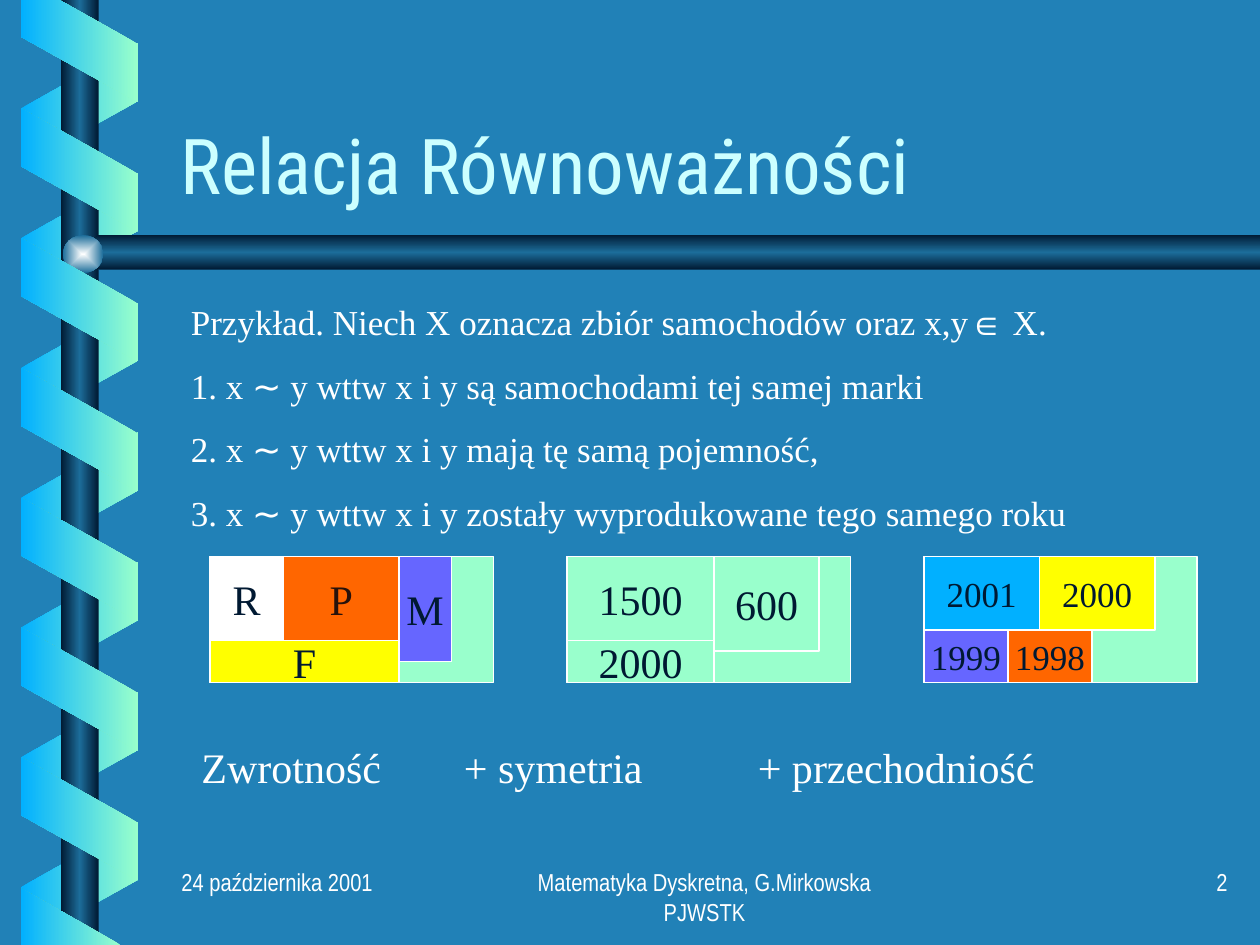
from itertools import groupby

from pptx import Presentation, oxml, util as u
from pptx.dml.color import RGBColor
from pptx.enum import shapes, text
from pptx.oxml import ns

CELL = u.Inches(1) / 12
COLUMNS, ROWS = 120, 90

BLUE = RGBColor(0x21, 0x81, 0xB7)
SKY = RGBColor(0x01, 0xB0, 0xFF)
MINT = RGBColor(0x99, 0xFF, 0xCC)
NAVY = RGBColor(0x00, 0x19, 0x32)
STEEL = RGBColor(0x1C, 0x6D, 0x9A)
PEARL = RGBColor(0xFE, 0xFF, 0xFF)
ICE = RGBColor(0xCC, 0xFF, 0xFF)
WHITE = RGBColor(0xFF, 0xFF, 0xFF)
ORANGE = RGBColor(0xFF, 0x66, 0x00)
VIOLET = RGBColor(0x66, 0x66, 0xFF)
YELLOW = RGBColor(0xFF, 0xFF, 0x00)
BROWN = RGBColor(0x27, 0x12, 0x0B)

SERIF, SYMBOL_FONT = "Times New Roman", "Arial"
SYMBOLS = "∈∼"
LEFT, CENTER, RIGHT = text.PP_ALIGN.LEFT, text.PP_ALIGN.CENTER, text.PP_ALIGN.RIGHT
TOP, MIDDLE, BOTTOM = text.MSO_ANCHOR.TOP, text.MSO_ANCHOR.MIDDLE, text.MSO_ANCHOR.BOTTOM

CAR_CLASSES = [
    (20, 27, 24, [("R", (0, 0, 7, 8), WHITE, NAVY), ("P", (7, 0, 11, 8), ORANGE, BROWN),
                  ("M", (18, 0, 5, 10), VIOLET, NAVY), ("F", (0, 8, 18, 4), YELLOW, NAVY)]),
    (54, 27, 24, [("1500", (0, 0, 14, 8), MINT, NAVY), ("600", (14, 0, 10, 9), MINT, NAVY),
                  ("2000", (0, 8, 14, 4), MINT, NAVY)]),
    (88, 26, 20, [("2001", (0, 0, 11, 7), SKY, NAVY), ("2000", (11, 0, 11, 7), YELLOW, NAVY),
                  ("1999", (0, 7, 8, 5), VIOLET, NAVY), ("1998", (8, 7, 8, 5), ORANGE, NAVY)]),
]


def grid(box):
    return [round(value * CELL) for value in box]


def write(shape, content, size, font=SERIF, color=WHITE, align=LEFT, anchor=TOP,
          wrap=True, space=0, spacing=None):
    frame = shape.text_frame
    frame.word_wrap = wrap
    frame.vertical_anchor = anchor
    for index, line in enumerate(content.split("\n")):
        paragraph = frame.add_paragraph() if index else frame.paragraphs[0]
        paragraph.alignment = align
        paragraph.space_before = u.Pt(space if index else 0)
        if spacing:
            paragraph.line_spacing = spacing
        for is_symbol, letters in groupby(line, lambda letter: letter in SYMBOLS):
            run = paragraph.add_run()
            run.text = "".join(letters)
            run.font.name = SYMBOL_FONT if is_symbol else font
            run.font.size = u.Pt(size)
            run.font.color.rgb = color


def add_text(slide, box, content, size, **style):
    write(slide.shapes.add_textbox(*grid(box)), content, size, **style)


def add_preset(slide, kind, box):
    shape = slide.shapes.add_shape(kind, *grid(box))
    shape.shadow.inherit = False
    shape.line.fill.background()
    return shape


def add_outline(slide, box, points):
    left, top, width, height = grid(box)
    corners = [(left + x * width, top + y * height) for x, y in points]
    builder = slide.shapes.build_freeform(*corners[0])
    builder.add_line_segments(corners[1:], close=True)
    shape = builder.convert_to_shape()
    shape.shadow.inherit = False
    shape.line.fill.background()
    return shape


def fill_gradient(shape, colors, angle=None):
    step = 100000 // (len(colors) - 1)
    stops = "".join(f'<a:gs pos="{index * step}"><a:srgbClr val="{color}"/></a:gs>'
                    for index, color in enumerate(colors))
    if angle is None:
        course = '<a:path path="rect"><a:fillToRect l="50000" t="50000" r="50000" b="50000"/></a:path>'
    else:
        course = f'<a:lin ang="{angle * 60000}" scaled="0"/>'
    gradient = oxml.parse_xml(f'<a:gradFill {ns.nsdecls("a")} rotWithShape="0">'
                              f'<a:gsLst>{stops}</a:gsLst>{course}</a:gradFill>')
    shape.fill.background()
    properties = shape.element.spPr
    properties.replace(properties.find(ns.qn("a:noFill")), gradient)


def draw_ribbon(slide, box, count, pitch, front):
    left, top, width, height = box
    for index in range(count):
        band = add_preset(slide, shapes.MSO_SHAPE.PARALLELOGRAM,
                          (left, top + index * pitch, width, height))
        band.adjustments[0] = 0.56
        band.rotation = 270 if front else 90
        if not front:
            band.element.spPr.find(ns.qn("a:xfrm")).set("flipH", "1")
        fill_gradient(band, (MINT, SKY) if front else (SKY, MINT), 180)


def draw_spiral_frame(slide, box):
    left, top, width, height = box
    band_left = left + 1.68
    draw_ribbon(slide, (band_left, top + 4.4, 11.76, 11.16), 7, 12.36, front=False)
    pole = add_preset(slide, shapes.MSO_SHAPE.RECTANGLE, (left + 5.8, top, 3.6, height))
    fill_gradient(pole, (NAVY, STEEL, NAVY), 180)
    bar = add_outline(slide, (left + 7.2, top + 22.36, width - 7.2, 3.32),
                      [(1, 0), (0.02, 0), (0, 0.5), (0.02, 1), (1, 1)])
    fill_gradient(bar, (NAVY, STEEL, NAVY), 90)
    ball = add_preset(slide, shapes.MSO_SHAPE.OVAL, (left + 6, top + 22.4, 3.84, 3.6))
    fill_gradient(ball, (PEARL, STEEL))
    draw_ribbon(slide, (band_left, top + 10.6, 11.76, 11.16), 6, 12.36, front=True)
    ends = [((left + 2, top, 11.1, 9.7), [(0, 0), (0, 0.36), (1, 1), (1, 0.43), (0.33, 0)]),
            ((left + 2, top + height - 5.4, 9.5, 5.4), [(1, 1), (0, 0), (0, 1)])]
    for end_box, points in ends:
        fill_gradient(add_outline(slide, end_box, points), (MINT, SKY), 180)


def draw_partition(slide, box, size, classes):
    left, top, width, height = box
    parts = [("", (0, 0, width, height), MINT, NAVY)] + classes
    for label, (column, row, columns, rows), fill, color in parts:
        part = add_preset(slide, shapes.MSO_SHAPE.RECTANGLE,
                          (left + column, top + row, columns, rows))
        part.fill.solid()
        part.fill.fore_color.rgb = fill
        part.line.color.rgb = WHITE
        part.line.width = u.Pt(0.75)
        if label:
            write(part, label, size, color=color, align=CENTER, anchor=MIDDLE, wrap=False)


def draw_properties(slide, box):
    left, top, width, height = box
    for column, columns, label in [(0, 21, "Zwrotność"), (25, 23, "+ symetria"),
                                   (53, 31, "+ przechodniość")]:
        add_text(slide, (left + column, top, columns, height), label, 24)


def draw_footer(slide, box):
    left, top, width, height = box
    parts = [(0, 25, "24 października 2001", LEFT),
             (32, 38, "Matematyka Dyskretna, G.Mirkowska PJWSTK", CENTER),
             (width - 25, 25, "2", RIGHT)]
    for column, columns, label, align in parts:
        add_text(slide, (left + column, top, columns, height), label, 14,
                 font="Arial Narrow", align=align)


def main():
    presentation = Presentation()
    presentation.slide_width, presentation.slide_height = grid((COLUMNS, ROWS))
    slide = presentation.slides.add_slide(presentation.slide_layouts[6])
    slide.background.fill.solid()
    slide.background.fill.fore_color.rgb = BLUE

    draw_spiral_frame(slide, (0, 0, COLUMNS, ROWS))
    add_text(slide, (16, 5.5, 102, 15), "Relacja Równoważności", 44,
             font="Roboto Condensed", color=ICE, anchor=BOTTOM, spacing=0.8)
    add_text(slide, (17, 28, 96, 23.5),
             "Przykład. Niech X oznacza zbiór samochodów oraz x,y∈ X.\n"
             "1. x ∼ y wttw x i y są samochodami tej samej marki\n"
             "2. x ∼ y wttw x i y mają tę samą pojemność,\n"
             "3. x ∼ y wttw x i y zostały wyprodukowane tego samego roku",
             20, space=12.5)
    draw_properties(slide, (18, 70, 84, 6))
    for column, columns, size, classes in CAR_CLASSES:
        draw_partition(slide, (column, 53, columns, 12), size, classes)
    draw_footer(slide, (16.1, 82, 102, 6))
    presentation.save("out.pptx")


if __name__ == "__main__":
    main()
